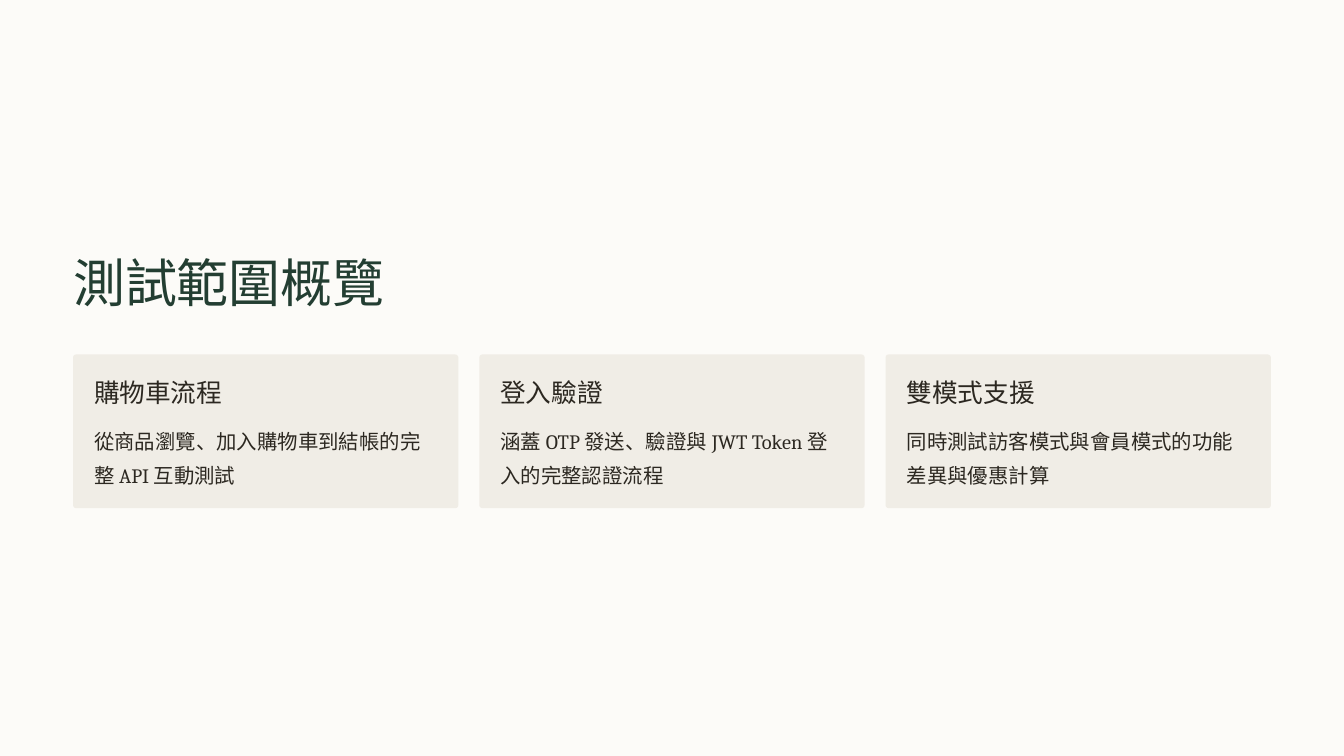
from dataclasses import dataclass

from pptx import Presentation
from pptx.dml.color import RGBColor
from pptx.enum.shapes import MSO_SHAPE
from pptx.enum.text import MSO_ANCHOR, MSO_AUTO_SIZE, PP_ALIGN
from pptx.shapes.autoshape import Shape
from pptx.slide import Slide
from pptx.util import Inches, Pt

PAPER = RGBColor(0xFC, 0xFB, 0xF8)
SAND = RGBColor(0xF0, 0xED, 0xE6)
FOREST = RGBColor(0x23, 0x3E, 0x32)
INK = RGBColor(0x2C, 0x28, 0x21)

PAGE_WIDTH, PAGE_HEIGHT = 16, 9
MARGIN = 0.87
GAP = 0.25
PADDING = 0.25
CARD_TOP, CARD_HEIGHT = 4.22, 1.83


@dataclass(frozen=True)
class TextStyle:
    font: str
    size: float
    line: float
    color: RGBColor


@dataclass(frozen=True)
class Card:
    heading: str
    detail: str


TITLE = TextStyle("Lato", 44.5, 55.5, FOREST)
HEADING = TextStyle("Lato", 22, 27.5, INK)
DETAIL = TextStyle("Cambria", 17.5, 28.5, INK)

CARDS = [
    Card("購物車流程", "從商品瀏覽、加入購物車到結帳的完整 API 互動測試"),
    Card("登入驗證", "涵蓋 OTP 發送、驗證與 JWT Token 登入的完整認證流程"),
    Card("雙模式支援", "同時測試訪客模式與會員模式的功能差異與優惠計算"),
]
CARD_WIDTH = (PAGE_WIDTH - 2 * MARGIN - GAP * (len(CARDS) - 1)) / len(CARDS)


def write(box: Shape, text: str, style: TextStyle) -> None:
    """Fill a box with one top-left paragraph, without insets."""
    frame = box.text_frame
    frame.text = text
    frame.word_wrap = True
    frame.auto_size = MSO_AUTO_SIZE.NONE
    frame.vertical_anchor = MSO_ANCHOR.TOP
    frame.margin_left = frame.margin_right = 0
    frame.margin_top = frame.margin_bottom = 0
    para = frame.paragraphs[0]
    para.alignment = PP_ALIGN.LEFT
    para.line_spacing = Pt(style.line)
    para.space_before = Pt(0)
    for span in para.runs:
        span.font.name = style.font
        span.font.size = Pt(style.size)
        span.font.color.rgb = style.color


def add_title(page: Slide, text: str) -> None:
    title = page.shapes.title
    title.left, title.top = Inches(MARGIN), Inches(2.95)
    title.width, title.height = Inches(6.2), Inches(0.78)
    write(title, text, TITLE)


def add_card(page: Slide, card: Card, column: int) -> None:
    left = MARGIN + column * (CARD_WIDTH + GAP)
    panel = page.shapes.add_shape(
        MSO_SHAPE.ROUNDED_RECTANGLE,
        Inches(left), Inches(CARD_TOP), Inches(CARD_WIDTH), Inches(CARD_HEIGHT),
    )
    panel.adjustments[0] = 0.02
    panel.shadow.inherit = False
    panel.fill.solid()
    panel.fill.fore_color.rgb = SAND
    panel.line.fill.background()

    rows = [
        (card.heading, HEADING, PADDING, 0.39),
        (card.detail, DETAIL, 0.79, 0.79),
    ]
    for text, style, offset, height in rows:
        box = page.shapes.add_textbox(
            Inches(left + PADDING), Inches(CARD_TOP + offset),
            Inches(CARD_WIDTH - 2 * PADDING), Inches(height),
        )
        write(box, text, style)


def main() -> None:
    deck = Presentation()
    deck.slide_width, deck.slide_height = Inches(PAGE_WIDTH), Inches(PAGE_HEIGHT)
    page = deck.slides.add_slide(deck.slide_layouts.get_by_name("Title Only"))
    page.background.fill.solid()
    page.background.fill.fore_color.rgb = PAPER
    add_title(page, "測試範圍概覽")
    for column, card in enumerate(CARDS):
        add_card(page, card, column)
    deck.save("out.pptx")


if __name__ == "__main__":
    main()
